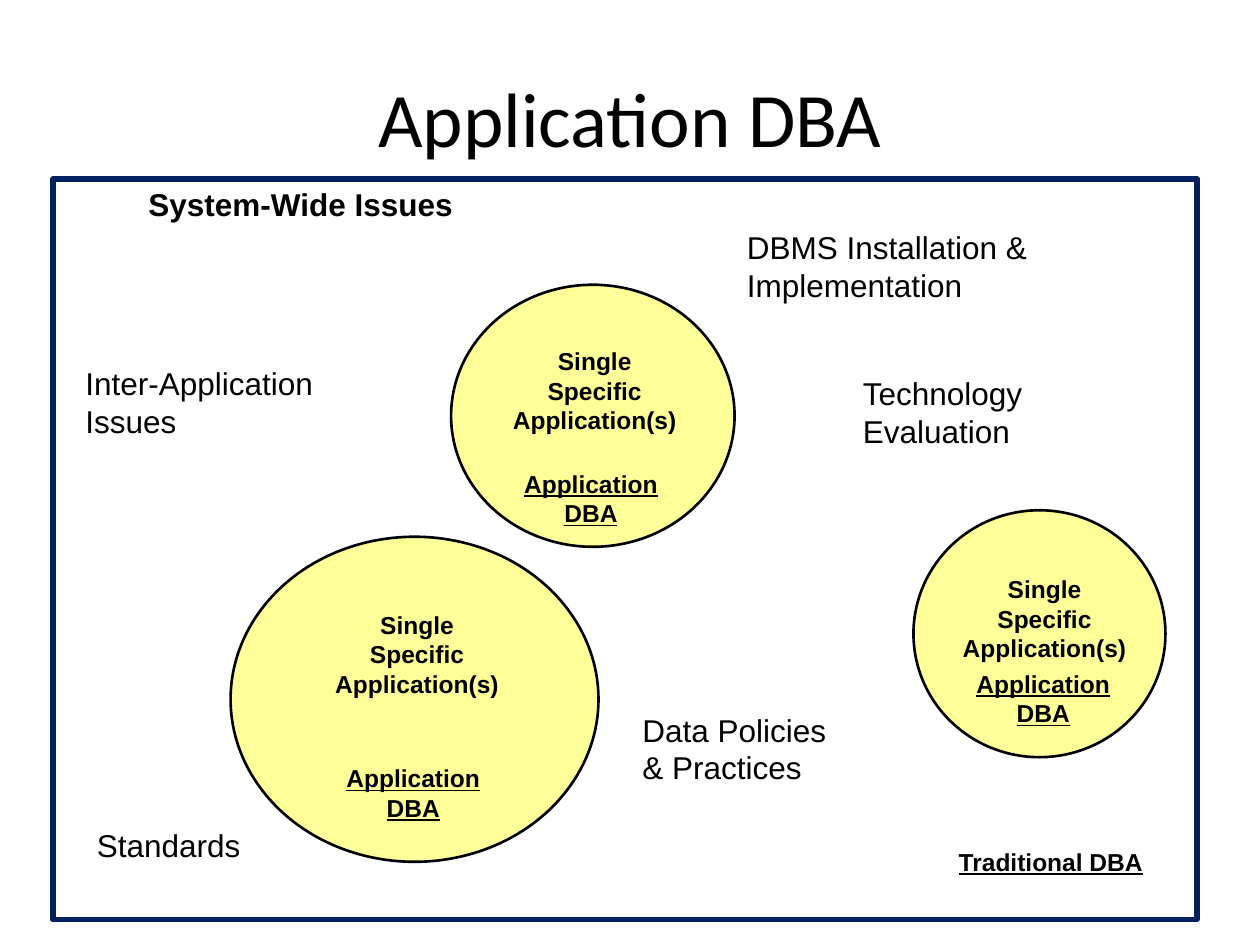
from pptx import Presentation
from pptx.dml.color import RGBColor
from pptx.enum.shapes import MSO_SHAPE
from pptx.enum.text import MSO_ANCHOR, PP_ALIGN
from pptx.util import Pt

PX = 9144  # 100 px to the inch
BLACK = RGBColor(0x00, 0x00, 0x00)
WHITE = RGBColor(0xFF, 0xFF, 0xFF)
NAVY = RGBColor(0x00, 0x20, 0x60)
YELLOW = RGBColor(0xFF, 0xFF, 0x99)
RECTANGLE, OVAL = MSO_SHAPE.RECTANGLE, MSO_SHAPE.OVAL
LEFT, CENTER = PP_ALIGN.LEFT, PP_ALIGN.CENTER
TOP, MIDDLE = MSO_ANCHOR.TOP, MSO_ANCHOR.MIDDLE

FRAME = (42, 142, 908, 588)
LABEL_WIDTH = 158

# Circle box, then offsets of the scope label and the role label inside it
APPLICATIONS = [
    ((183, 426, 292, 258), (69, 53), (66, 175)),
    ((725, 405, 200, 196), (25, 46), (24, 121)),
    ((358, 226, 225, 208), (35, 44), (32, 141)),
]

# Offset inside the frame, size and lines of each system-wide issue
ISSUES = [
    ((541, 34, 317, 90), ["DBMS Installation &", "Implementation"]),
    ((16, 142, 261, 90), ["Inter-Application", "Issues"]),
    ((458, 417, 215, 90), ["Data Policies", "& Practices"]),
    ((25, 509, 172, 50), ["Standards"]),
    ((633, 150, 193, 90), ["Technology", "Evaluation"]),
]


def emu(box):
    return [value * PX for value in box]


def write(text_frame, lines, size=18, font="Arial", bold=False,
          underline=False, align=LEFT, anchor=TOP):
    text_frame.word_wrap = True
    text_frame.vertical_anchor = anchor
    for index, line in enumerate(lines):
        paragraph = text_frame.add_paragraph() if index else text_frame.paragraphs[0]
        paragraph.alignment = align
        run = paragraph.add_run()
        run.text = line
        run.font.name = font
        run.font.size = Pt(size)
        run.font.bold = bold
        run.font.underline = underline
        run.font.color.rgb = BLACK


def add_text(slide, box, lines, **text_format):
    write(slide.shapes.add_textbox(*emu(box)).text_frame, lines, **text_format)


def add_outline(slide, kind, box, fill, line, width):
    shape = slide.shapes.add_shape(kind, *emu(box))
    shape.shadow.inherit = False
    shape.fill.solid()
    shape.fill.fore_color.rgb = fill
    shape.line.color.rgb = line
    shape.line.width = Pt(width)


def add_title(slide, box):
    title = slide.shapes.title
    title.left, title.top, title.width, title.height = emu(box)
    write(title.text_frame, ["Application DBA"], size=44, font="Calibri",
          align=CENTER, anchor=MIDDLE)


def add_application(slide, box, scope, role):
    left, top = box[:2]
    add_outline(slide, OVAL, box, YELLOW, BLACK, 1.5)
    add_text(slide, (left + scope[0], top + scope[1], LABEL_WIDTH, 57),
             ["Single Specific", "Application(s)"], size=14, bold=True, align=CENTER)
    add_text(slide, (left + role[0], top + role[1], LABEL_WIDTH, 33),
             ["Application DBA"], size=14, bold=True, underline=True, align=CENTER)


def add_system_area(slide, box):
    """Frame of the traditional DBA's work with the issues it covers."""
    left, top = box[:2]
    add_outline(slide, RECTANGLE, box, WHITE, NAVY, 3)
    add_text(slide, (left + 66, top, 280, 40), ["System-Wide Issues"], bold=True)
    for (x, y, width, height), lines in ISSUES:
        add_text(slide, (left + x, top + y, width, height), lines)
    add_text(slide, (left + 702, top + 525, 180, 33), ["Traditional DBA"],
             size=14, bold=True, underline=True, align=CENTER)


def main():
    presentation = Presentation()
    presentation.slide_width, presentation.slide_height = emu((1000, 750))
    slide = presentation.slides.add_slide(presentation.slide_layouts[5])
    add_title(slide, (50, 30, 900, 125))
    add_system_area(slide, FRAME)
    for box, scope, role in APPLICATIONS:
        add_application(slide, box, scope, role)
    presentation.save("out.pptx")


if __name__ == "__main__":
    main()
